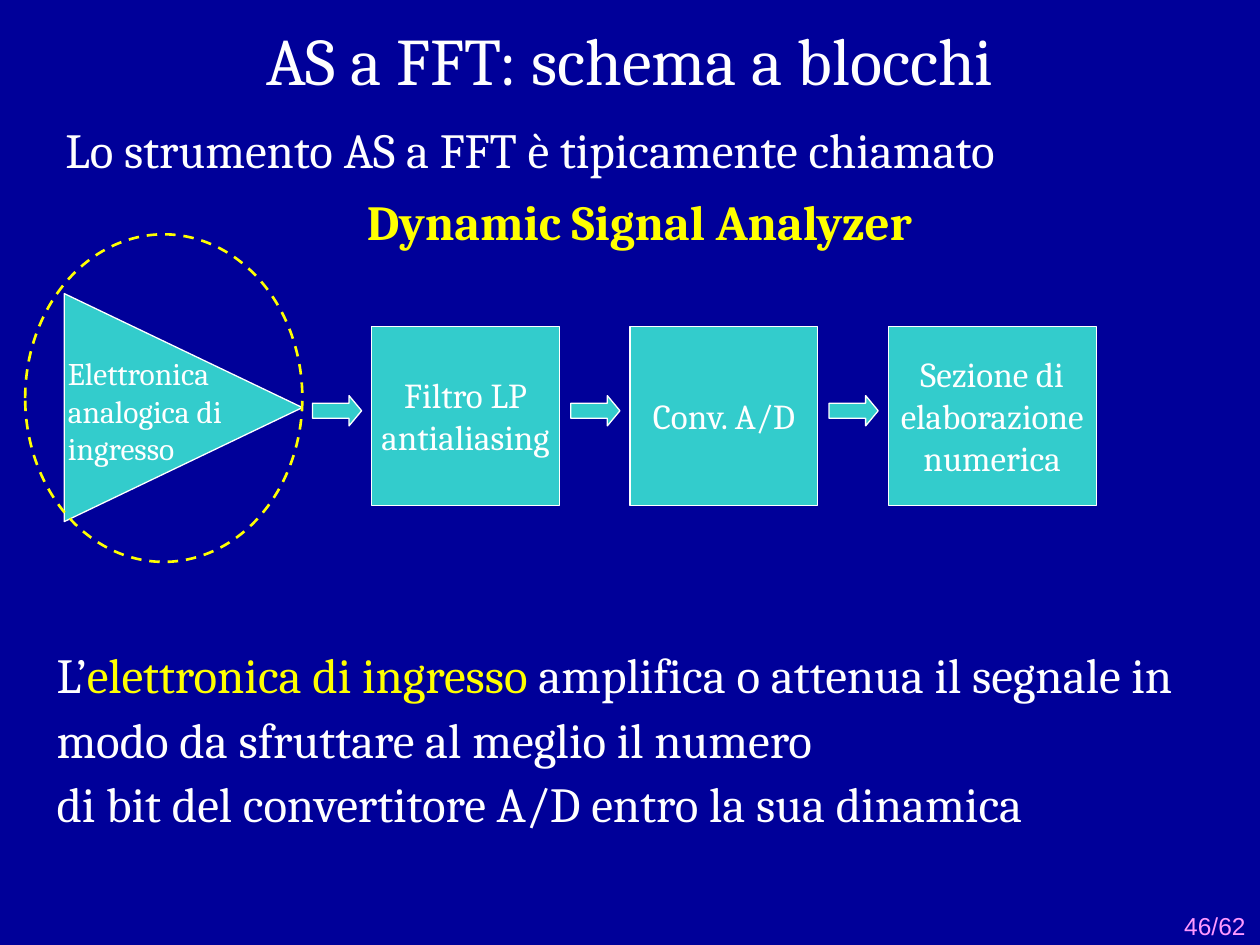
from dataclasses import dataclass

from pptx import Presentation
from pptx import util as u
from pptx.dml.color import RGBColor
from pptx.enum import dml, shapes, text


@dataclass(frozen=True)
class Theme:
    background: str = "000099"
    ink: str = "FFFFFF"
    accent: str = "FFFF00"
    block: str = "33CCCC"
    page: str = "FF99FF"
    font: str = "Cambria"
    page_font: str = "Arial"
    title_size: int = 38
    body_size: int = 28
    block_size: int = 20
    label_size: int = 18
    page_size: int = 14


THEME = Theme()


def rgb(value):
    return RGBColor.from_string(value)


def inches(box):
    return [u.Inches(v) for v in box]


def style(p, size, color=THEME.ink, font=THEME.font, bold=False):
    for r in p.runs:
        r.font.size, r.font.name, r.font.bold = u.Pt(size), font, bold
        r.font.color.rgb = rgb(color)


def space(p, lines):
    p.line_spacing = lines
    p.space_before = u.Pt(THEME.body_size / 2)


def add_text(slide, box):
    tf = slide.shapes.add_textbox(*inches(box)).text_frame
    tf.word_wrap = True
    return tf


def add_outlined(slide, kind, box, fill=None, line=THEME.ink, width=0.75):
    sp = slide.shapes.add_shape(kind, *inches(box))
    sp.shadow.inherit = False
    if fill:
        sp.fill.solid()
        sp.fill.fore_color.rgb = rgb(fill)
    else:
        sp.fill.background()
    sp.line.color.rgb = rgb(line)
    sp.line.width = u.Pt(width)
    return sp


def add_title(slide, box):
    title = slide.shapes.title
    title.left, title.top, title.width, title.height = inches(box)
    tf = title.text_frame
    tf.text = "AS a FFT: schema a blocchi"
    tf.vertical_anchor = text.MSO_ANCHOR.MIDDLE
    p = tf.paragraphs[0]
    p.alignment = text.PP_ALIGN.CENTER
    style(p, THEME.title_size)


def add_intro(slide, box):
    tf = add_text(slide, box)
    tf.text = "Lo strumento AS a FFT è tipicamente chiamato\nDynamic Signal Analyzer"
    lead, name = tf.paragraphs
    for p in (lead, name):
        space(p, 0.8)
    style(lead, THEME.body_size)
    name.alignment = text.PP_ALIGN.CENTER
    style(name, THEME.body_size, THEME.accent, bold=True)


def add_input_stage(slide, box):
    left, top, width, height = box
    # The triangle is drawn upright, then turned to point right about its centre
    turned = (left + (width - height) / 2, top + (height - width) / 2, height, width)
    triangle = add_outlined(slide, shapes.MSO_SHAPE.ISOSCELES_TRIANGLE, turned, THEME.block)
    triangle.rotation = 90
    tf = add_text(slide, (left - 0.07, top + 0.43, 1.57, 1))
    tf.text = "Elettronica analogica di ingresso"
    style(tf.paragraphs[0], THEME.label_size)


def add_chain(slide, box):
    left, top, pitch, height = box
    blocks = [
        ("Filtro LP\vantialiasing", 1.49),
        ("Conv. A/D", 1.49),
        ("Sezione di\velaborazione\vnumerica", 1.65),
    ]
    for i, (label, width) in enumerate(blocks):
        x = left + i * pitch
        sp = add_outlined(slide, shapes.MSO_SHAPE.RECTANGLE, (x, top, width, height), THEME.block)
        tf = sp.text_frame
        tf.text = label
        tf.word_wrap = False
        tf.vertical_anchor = text.MSO_ANCHOR.MIDDLE
        p = tf.paragraphs[0]
        p.alignment = text.PP_ALIGN.CENTER
        style(p, THEME.block_size)
        # Arrow leading into the block
        arrow = add_outlined(slide, shapes.MSO_SHAPE.RIGHT_ARROW,
                             (x - 0.47, top + 0.55, 0.39, 0.24), THEME.block)
        arrow.adjustments[1] = 0.415


def add_explanation(slide, box):
    p = add_text(slide, box).paragraphs[0]
    p.text = "L’"
    term = p.add_run()
    term.text = "elettronica di ingresso"
    p.add_run().text = " amplifica o attenua il segnale in modo da sfruttare al meglio il numero"
    p.add_line_break()
    p.add_run().text = "di bit del convertitore A/D entro la sua dinamica"
    space(p, 1.1)
    style(p, THEME.body_size)
    term.font.color.rgb = rgb(THEME.accent)


def add_highlight(slide, box):
    ring = add_outlined(slide, shapes.MSO_SHAPE.OVAL, box, line=THEME.accent, width=1.5)
    ring.line.dash_style = dml.MSO_LINE.DASH


def add_page_number(slide, box):
    tf = add_text(slide, box)
    tf.text = "46/62"
    tf.vertical_anchor = text.MSO_ANCHOR.BOTTOM
    style(tf.paragraphs[0], THEME.page_size, THEME.page, THEME.page_font)


def main():
    prs = Presentation()
    prs.slide_width, prs.slide_height = inches((10, 7.5))
    slide = prs.slides.add_slide(prs.slide_layouts[5])  # title only
    slide.background.fill.solid()
    slide.background.fill.fore_color.rgb = rgb(THEME.background)

    add_page_number(slide, (9.3, 7.29, 0.79, 0.22))
    add_title(slide, (0, -0.11, 10, 1.16))
    add_intro(slide, (0.42, 0.99, 9.31, 1.08))
    add_input_stage(slide, (0.51, 2.33, 1.89, 1.81))
    add_chain(slide, (2.95, 2.59, 2.05, 1.42))
    add_explanation(slide, (0.35, 5.02, 9.31, 1.64))
    add_highlight(slide, (0.2, 1.86, 2.2, 2.6))
    prs.save("out.pptx")


if __name__ == "__main__":
    main()
